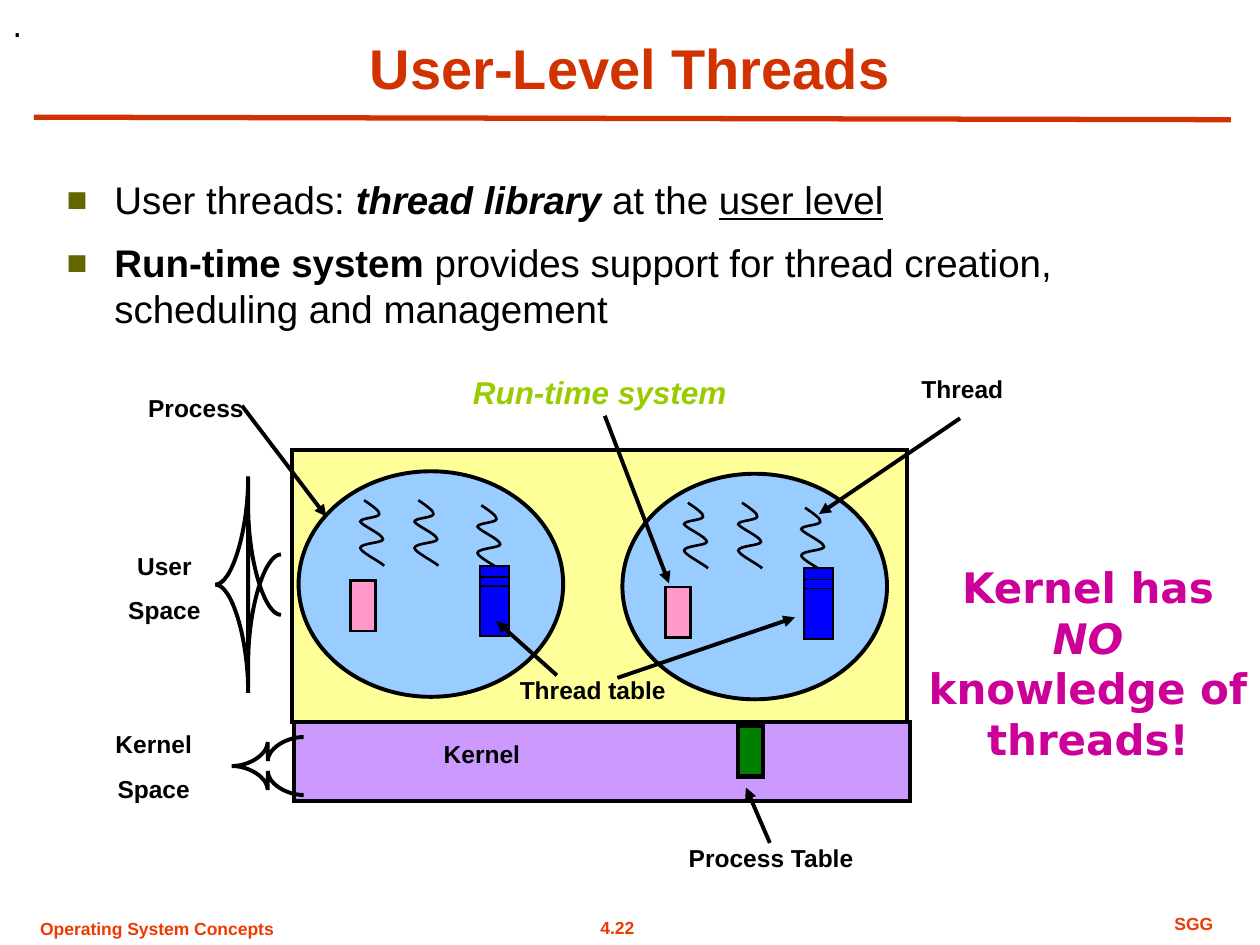
from dataclasses import dataclass
from typing import Optional

from lxml.etree import SubElement
from pptx import Presentation
from pptx.dml.color import RGBColor
from pptx.enum.shapes import MSO_CONNECTOR, MSO_SHAPE
from pptx.enum.text import MSO_ANCHOR, PP_ALIGN
from pptx.oxml.ns import qn
from pptx.util import Emu, Pt

EMU_PER_PX = 9144
COLORS = {
    "black": "000000", "title": "D03200", "footer": "EE3900", "bullet": "666600",
    "user": "FFFF99", "kernel": "CC99FF", "process": "99CCFF", "runtime": "FF99CC",
    "thread_table": "0000FF", "process_table": "008000", "lime": "99CC00",
    "magenta": "CC0099",
}
SQUIGGLE = [
    [(3, 0)],
    [(9, 4), (16, 9), (15, 11)],
    [(15, 14), (0, 14), (0, 17)],
    [(1, 20), (18, 27), (18, 31)],
    [(18, 34), (0, 34), (0, 38)],
    [(0, 41), (16, 49), (19, 52)],
]


@dataclass(frozen=True)
class Run:
    text: str
    bold: bool = False
    italic: bool = False
    underline: bool = False


@dataclass(frozen=True)
class Label:
    text: str
    box: tuple[int, int, int, int]
    color: str = "black"
    size: int = 14
    italic: bool = False
    align: PP_ALIGN = PP_ALIGN.CENTER
    wrap: bool = True


@dataclass(frozen=True)
class Arrow:
    start: tuple[int, int]
    end: tuple[int, int]


@dataclass(frozen=True)
class Brace:
    left: int
    top: int
    width: int
    height: int
    radius: int


@dataclass(frozen=True)
class Process:
    left: int
    top: int
    runtime_offset: tuple[int, int]
    thread_fill: Optional[str] = None


BULLETS = [
    [Run("User threads: "), Run("thread library", bold=True, italic=True),
     Run(" at the "), Run("user level", underline=True)],
    [Run("Run-time system", bold=True),
     Run(" provides support for thread creation, scheduling and management")],
]
KERNEL_NOTE = [[Run("Kernel has ", True), Run("NO ", True, True),
                Run("knowledge of threads!", True)]]
LABELS = [
    Label("4.22", (441, 723, 98, 27), "footer", 10, wrap=False),
    Label("SGG", (895, 720, 105, 27), "footer", 10),
    Label("Operating System Concepts", (22, 724, 205, 27), "footer", 10,
          align=PP_ALIGN.LEFT, wrap=False),
    Label("Thread ", (707, 292, 119, 34)),
    Label("Process Table", (507, 664, 210, 34)),
    Label("Kernel", (323, 582, 119, 34)),
    Label("Process", (96, 307, 119, 34)),
    Label("Run-time system", (365, 291, 222, 40), "lime", 18, italic=True),
    Label("Thread table", (380, 531, 181, 34)),
    Label("User\nSpace", (71, 432, 119, 69)),
    Label("Kernel\nSpace", (71, 574, 102, 69)),
]
ARROWS = [
    Arrow((192, 322), (259, 410)),
    Arrow((611, 669), (592, 625)),
    Arrow((442, 536), (394, 493)),
    Arrow((762, 332), (650, 408)),
    Arrow((490, 538), (631, 490)),
    Arrow((480, 330), (531, 463)),
]
BRACES = [Brace(171, 440, 52, 48, 86), Brace(184, 585, 57, 46, 19)]
PROCESSES = [Process(237, 374, (41, 87)), Process(494, 376, (34, 90), "process")]


def px(length: float) -> Emu:
    """Turn px into EMU."""
    return Emu(round(length * EMU_PER_PX))


def rgb(name: str) -> RGBColor:
    """Look up a named colour."""
    return RGBColor.from_string(COLORS[name])


def add_bullet(paragraph) -> None:
    """Give a paragraph a square bullet with a hanging indent."""
    properties = paragraph._p.get_or_add_pPr()
    properties.set("marL", str(px(38)))
    properties.set("indent", str(px(-38)))
    color = SubElement(properties, qn("a:buClr"))
    SubElement(color, qn("a:srgbClr"), val=COLORS["bullet"])
    SubElement(properties, qn("a:buSzPct"), val="90000")
    SubElement(properties, qn("a:buFont"), typeface="Arial")
    SubElement(properties, qn("a:buChar"), char="■")


def add_text(slide, paragraphs: list[list[Run]], box: tuple[int, int, int, int], *,
             size: int, color: str = "black", font: str = "Arial",
             align: PP_ALIGN = PP_ALIGN.LEFT, anchor: MSO_ANCHOR = MSO_ANCHOR.TOP,
             wrap: bool = True, gap: float = 0, bullets: bool = False) -> None:
    """Add a text box of formatted paragraphs."""
    frame = slide.shapes.add_textbox(*map(px, box)).text_frame
    frame.word_wrap = wrap
    frame.vertical_anchor = anchor
    for index, runs in enumerate(paragraphs):
        paragraph = frame.add_paragraph() if index else frame.paragraphs[0]
        if bullets:
            add_bullet(paragraph)
        paragraph.alignment = align
        if index:
            paragraph.space_before = Pt(gap)
        for part in runs:
            run = paragraph.add_run()
            run.text = part.text
            run.font.name, run.font.size = font, Pt(size)
            run.font.bold, run.font.italic = part.bold, part.italic
            run.font.underline = part.underline
            run.font.color.rgb = rgb(color)


def style_shape(shape, fill: Optional[str], width: float) -> None:
    """Set a flat fill and a black outline with sharp corners."""
    shape.shadow.inherit = False
    if fill:
        shape.fill.solid()
        shape.fill.fore_color.rgb = rgb(fill)
    else:
        shape.fill.background()
    shape.line.color.rgb = rgb("black")
    shape.line.width = Pt(width)
    SubElement(shape.line._get_or_add_ln(), qn("a:miter"), lim="800000")


def add_block(shapes, box: tuple[int, int, int, int], fill: str, width: float = 2.25,
              kind: MSO_SHAPE = MSO_SHAPE.RECTANGLE) -> None:
    """Add a filled preset shape."""
    style_shape(shapes.add_shape(kind, *map(px, box)), fill, width)


def add_line(slide, line: Arrow, color: str = "black", width: float = 2.25,
             head: bool = True) -> None:
    """Add a straight line, with an arrowhead at its end if asked."""
    connector = slide.shapes.add_connector(
        MSO_CONNECTOR.STRAIGHT, *map(px, line.start + line.end))
    connector.line.color.rgb = rgb(color)
    connector.line.width = Pt(width)
    if head:
        SubElement(connector.line._get_or_add_ln(), qn("a:tailEnd"), type="triangle")
    SubElement(connector._element.spPr, qn("a:effectLst"))


def add_curve(shapes, segments: list, box: tuple[int, int, int, int], width: float,
              fill: Optional[str] = None) -> None:
    """Draw an open outline of straight and cubic segments relative to a box."""
    left, top, box_width, box_height = map(px, box)
    builder = shapes.build_freeform(left, top, scale=1.0)
    builder.add_line_segments([(left + box_width, top + box_height)], close=False)
    shape = builder.convert_to_shape()
    outline = next(shape._element.iter(qn("a:path")))
    for child in list(outline):
        outline.remove(child)
    for index, segment in enumerate(segments):
        tag = "a:cubicBezTo" if len(segment) == 3 else "a:lnTo" if index else "a:moveTo"
        command = SubElement(outline, qn(tag))
        for x, y in segment:
            SubElement(command, qn("a:pt"), x=str(px(x)), y=str(px(y)))
    style_shape(shape, fill, width)


def add_brace(slide, brace: Brace) -> None:
    """Draw a left brace whose arms bend by its radius."""
    right, bottom, radius = brace.width, brace.height, brace.radius
    middle, center, bend = right / 2, bottom / 2, radius / 2
    segments = [
        [(right, 0)],
        [(right * 0.75, 0), (middle, bend), (middle, radius)],
        [(middle, center - radius)],
        [(middle, center - bend), (right / 4, center), (0, center)],
        [(right / 4, center), (middle, center + bend), (middle, center + radius)],
        [(middle, bottom - radius)],
        [(middle, bottom - bend), (right * 0.75, bottom), (right, bottom)],
    ]
    add_curve(slide.shapes, segments, (brace.left, brace.top, right, bottom), 2.25)


def add_process(shapes, process: Process) -> None:
    """Draw a process with its threads, run-time system and thread table."""
    left, top = process.left, process.top
    add_block(shapes, (left, top, 210, 179), "process", kind=MSO_SHAPE.OVAL)
    for x, y in ((49, 23), (92, 23), (142, 27)):
        add_curve(shapes, SQUIGGLE, (left + x, top + y, 20, 51), 1.5, process.thread_fill)
    x, y = process.runtime_offset
    add_block(shapes, (left + x, top + y, 20, 40), "runtime", 1.5)
    for y in (75, 84, 91):
        add_block(shapes, (left + 144, top + y, 23, 40), "thread_table", 1)


def main() -> None:
    """Build the user-level threads slide."""
    presentation = Presentation()
    presentation.slide_width, presentation.slide_height = px(1000), px(750)
    slide = presentation.slides.add_slide(presentation.slide_layouts[6])
    add_line(slide, Arrow((27, 93), (977, 95)), "title", 3, head=False)
    add_text(slide, [[Run("User-Level Threads", bold=True)]], (50, 22, 900, 63), size=32,
             color="title", align=PP_ALIGN.CENTER, anchor=MSO_ANCHOR.BOTTOM)
    add_text(slide, BULLETS, (43, 135, 885, 193), size=22, gap=9.6, bullets=True)
    add_block(slide.shapes, (233, 573, 489, 63), "kernel")
    add_block(slide.shapes, (232, 357, 488, 216), "user")
    for top in (577, 576):
        add_block(slide.shapes, (586, top, 20, 40), "process_table")
    first, second = PROCESSES
    add_process(slide.shapes, first)
    add_process(slide.shapes.add_group_shape().shapes, second)
    for brace in BRACES:
        add_brace(slide, brace)
    for label in LABELS:
        paragraphs = [[Run(line, True, label.italic)] for line in label.text.split("\n")]
        add_text(slide, paragraphs, label.box, size=label.size, color=label.color,
                 align=label.align, wrap=label.wrap, gap=8.8)
    for arrow in ARROWS:
        add_line(slide, arrow)
    add_text(slide, KERNEL_NOTE, (727, 441, 273, 130), size=24, color="magenta",
             font="DejaVu Sans", align=PP_ALIGN.CENTER)
    add_text(slide, [[Run(".")]], (0, 0, 51, 40), size=18, font="DejaVu Sans")
    presentation.save("out.pptx")


if __name__ == "__main__":
    main()
